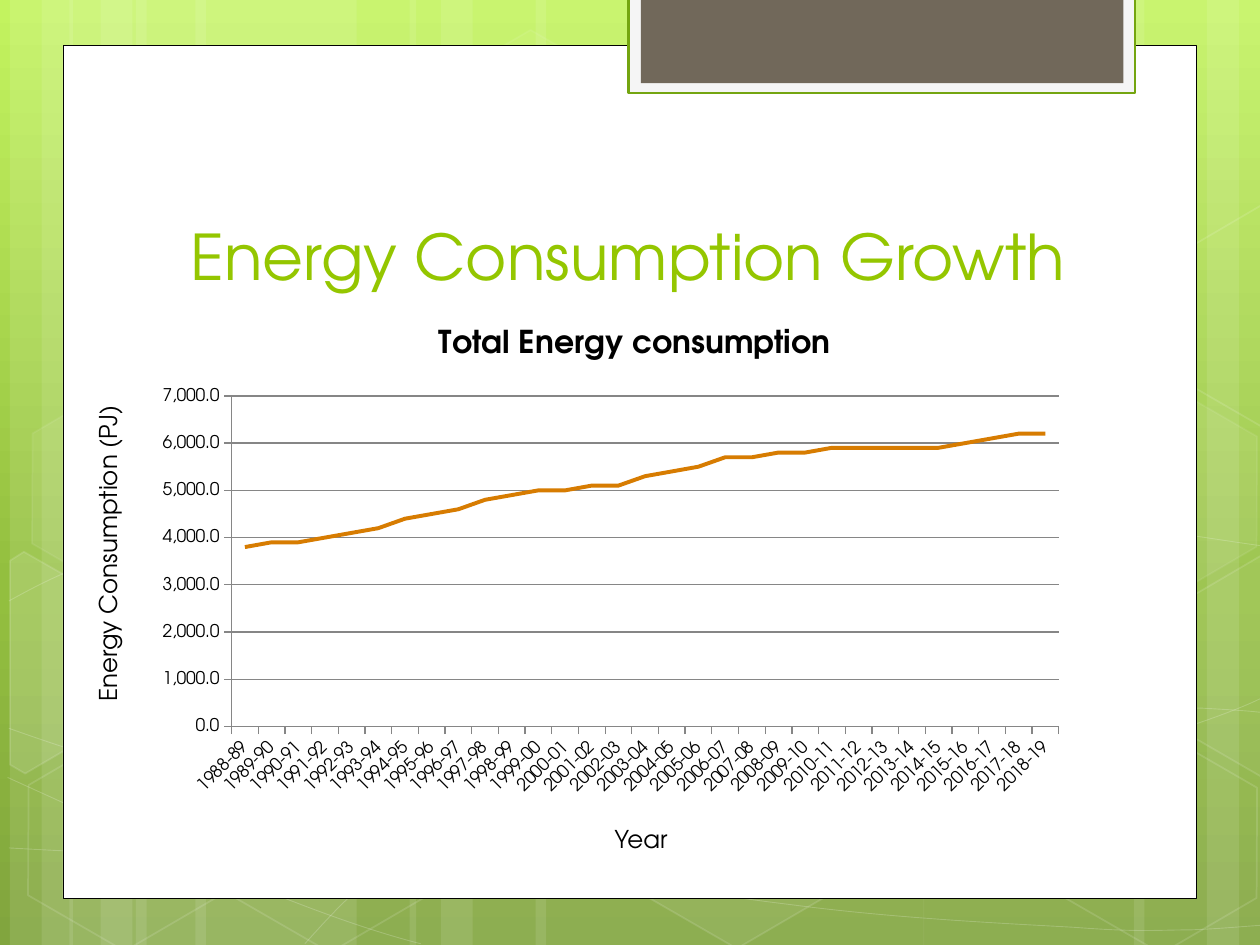
import copy
import pptx
import pptx.chart.data
import pptx.dml.color
import pptx.enum.chart
import pptx.enum.shapes
import pptx.enum.text
import pptx.oxml
import pptx.oxml.ns
import pptx.util

Cm, Pt, qn = pptx.util.Cm, pptx.util.Pt, pptx.oxml.ns.qn
RGB = pptx.dml.color.RGBColor.from_string
SHAPE = pptx.enum.shapes.MSO_SHAPE
FONT = "TeX Gyre Adventor"
COLORS = {
    "top": "C3F35F", "middle": "93BF3F", "bottom": "81A53E",
    "white": "FFFFFF", "black": "000000", "tab": "F5F5F5",
    "tab border": "74A510", "tab centre": "71685A",
    "title": "94C600", "series": "D77C01", "grid": "868686",
}


def paint(shape, fill=None, line=None, width=1, fill_alpha=100, line_alpha=100):
    """Set fill and outline by colour name, with opacity in percent."""
    shape.shadow.inherit = False
    for target, color, alpha in ((shape.fill, fill, fill_alpha),
                                 (shape.line.fill, line, line_alpha)):
        if not color:
            target.background()
            continue
        target.solid()
        target.fore_color.rgb = RGB(COLORS[color])
        if alpha < 100:
            parent = shape.element.spPr if target is shape.fill else shape.line._ln
            element = parent.find(qn("a:solidFill"))[0]
            element.append(pptx.oxml.parse_xml(
                '<a:alpha xmlns:a="http://schemas.openxmlformats.org/drawingml/2006/main"'
                f' val="{alpha * 1000}"/>'))
    if line:
        shape.line.width = Pt(width)


def style(font, size, color="black", bold=False):
    font.name, font.size, font.bold = FONT, Pt(size), bold
    font.color.rgb = RGB(COLORS[color])


presentation = pptx.Presentation()
presentation.slide_width, presentation.slide_height = Cm(25.4), Cm(19.05)
slide = presentation.slides.add_slide(presentation.slide_layouts[5])
shapes = slide.shapes

# Background gradient, running downwards
background = slide.background.fill
background.gradient()
background.gradient_angle = 270
stop_list = slide.element.find(".//" + qn("a:gsLst"))
stop_list.append(copy.deepcopy(stop_list[-1]))
for stop, position, color in zip(background.gradient_stops, (0, 0.62, 1),
                                 ("top", "middle", "bottom")):
    stop.position = position
    stop.color.rgb = RGB(COLORS[color])

# Vertical light bars: left, width
for left, width in ((2.74, 4.45), (0.2, 1.27), (0.84, 2.12), (3.94, 4.45),
                    (1.4, 1.27), (2.03, 2.12), (18.62, 4.45), (24.33, 1.27),
                    (22.86, 2.12), (10.8, 7.83), (8.26, 1.27), (8.89, 2.12)):
    bar = shapes.add_shape(SHAPE.RECTANGLE, Cm(left), 0, Cm(width), Cm(19.05))
    paint(bar, "white", fill_alpha=10)

# Sweeping curves: chained cubic Beziers in units of 2.54 cm
curves = (
    ((0.07, 6.73), (0.61, 6.76), (1.15, 6.79), (1.9, 6.78), (2.65, 6.77),
     (3.58, 6.75), (4.58, 6.65), (5.58, 6.55), (7, 6.36), (7.92, 6.17),
     (8.83, 5.98), (9.77, 5.68), (10.07, 5.51)),
    ((0.07, 4.77), (0.36, 4.61), (0.65, 4.46), (1.21, 4.31), (1.78, 4.16),
     (2.59, 3.94), (3.47, 3.87), (4.36, 3.8), (5.44, 3.79), (6.54, 3.87),
     (7.64, 3.95), (9.47, 4.26), (10.07, 4.34)),
    ((0.06, 6.17), (1.27, 6.72), (2.47, 7.27), (3.34, 7.49)),
    ((0.07, 5.78), (0.38, 5.89), (0.7, 6), (1.28, 6.16), (1.86, 6.31),
     (2.73, 6.56), (3.57, 6.73), (4.4, 6.9), (5.45, 7.08), (6.28, 7.18),
     (7.11, 7.29), (8, 7.33), (8.53, 7.36), (9.05, 7.4), (9.19, 7.38),
     (9.45, 7.38), (9.71, 7.37), (9.89, 7.35), (10.07, 7.34)),
    ((2.42, 7.49), (2.6, 7.29), (2.78, 7.09), (3.02, 6.91), (3.26, 6.73),
     (3.6, 6.53), (3.88, 6.39), (4.16, 6.25), (4.33, 6.19), (4.7, 6.09),
     (5.06, 5.99), (5.73, 5.85), (6.08, 5.78), (6.44, 5.71), (6.49, 5.71),
     (6.8, 5.69), (7.11, 5.66), (7.6, 5.63), (7.94, 5.62), (8.29, 5.61),
     (8.86, 5.62), (8.86, 5.62), (9.08, 5.62), (9.31, 5.62), (9.53, 5.62),
     (9.71, 5.63), (9.88, 5.64), (9.97, 5.65), (10.06, 5.66), (10.03, 5.65),
     (10.06, 5.66)),
)
for curve in curves:
    points = [(Cm(2.54 * x), Cm(2.54 * y)) for x, y in curve]
    builder = shapes.build_freeform(*points[0])
    builder.add_line_segments(points[1:], close=False)
    sweep = builder.convert_to_shape()
    # Each three line segments become one Bezier segment
    segments = list(sweep.element.iter(qn("a:lnTo")))
    for start in range(0, len(segments), 3):
        bezier = pptx.oxml.parse_xml(
            '<a:cubicBezTo xmlns:a="http://schemas.openxmlformats.org/drawingml/2006/main"/>')
        segments[start].addprevious(bezier)
        for segment in segments[start:start + 3]:
            bezier.append(segment[0])
            segment.getparent().remove(segment)
    paint(sweep, line="white", width=0.5, line_alpha=20)

# Hexagons: left, top, fill opacity, line opacity
for left, top, fill_alpha, line_alpha in (
        (8.48, 0.91, 4, 8), (12.62, 14.96, 6, 12), (0.28, 15.01, 0, 12),
        (0.36, 7.92, 7, 8), (4.42, 15.04, 0, 12), (21.18, 15.06, 0, 12),
        (21.18, 7.98, 7, 8)):
    hexagon = shapes.add_shape(SHAPE.HEXAGON, Cm(left), Cm(top), Cm(4.45), Cm(3.86))
    hexagon.adjustments[0] = 0.285
    hexagon.rotation = 30
    paint(hexagon, "white" if fill_alpha else None, "white", 1, fill_alpha, line_alpha)

# Hexagons cut off by the slide edges, in units of 2.54 cm
for fill_alpha, corners in (
        (10, ((0.08, 4.45), (0.19, 4.38), (0.96, 4.82), (0.95, 5.7), (0.2, 6.14), (0.08, 6.07))),
        (4, ((9.26, 4.85), (10.01, 4.41), (10.09, 4.46), (10.09, 6.13), (10.02, 6.17), (9.26, 5.73))),
        (0, ((9.26, 2.07), (10.01, 1.63), (10.1, 1.68), (10.09, 3.35), (10.02, 3.39), (9.26, 2.95)))):
    points = [(Cm(2.54 * x), Cm(2.54 * y)) for x, y in corners]
    builder = shapes.build_freeform(*points[0])
    builder.add_line_segments(points[1:], close=True)
    paint(builder.convert_to_shape(), "white" if fill_alpha else None, "white",
          1, fill_alpha, 12)

# White panel and the tab at its top
for box, fill, line, width in (
        ((1.27, 0.91, 22.86, 17.2), "white", "black", 0.5),
        ((12.67, -0.05, 10.21, 1.93), "tab", "tab border", 1.25),
        ((12.92, -0.05, 9.73, 1.73), "tab centre", None, 0)):
    panel = shapes.add_shape(SHAPE.RECTANGLE, *map(Cm, box))
    paint(panel, fill, line, width)

# Title, brought in front of the panel
title = shapes.title
shapes.element.append(title.element)
title.left, title.top, title.width, title.height = map(Cm, (2.9, 2.86, 19.51, 3.18))
title.text_frame.text = "Energy Consumption Growth"
title.text_frame.vertical_anchor = pptx.enum.text.MSO_ANCHOR.BOTTOM
paragraph = title.text_frame.paragraphs[0]
paragraph.alignment = pptx.enum.text.PP_ALIGN.CENTER
style(paragraph.runs[0].font, 36, "title")

# Line chart
chart_data = pptx.chart.data.CategoryChartData(number_format="#,##0.0")
chart_data.categories = [f"{year}-{(year + 1) % 100:02d}" for year in range(1988, 2019)]
chart_data.add_series("Series 1", (
    3800, 3900, 3900, 4000, 4100, 4200, 4400, 4500, 4600, 4800, 4900,
    5000, 5000, 5100, 5100, 5300, 5400, 5500, 5700, 5700, 5800, 5800,
    5900, 5900, 5900, 5900, 5900, 6000, 6100, 6200, 6200))
chart = shapes.add_chart(pptx.enum.chart.XL_CHART_TYPE.LINE,
                         *map(Cm, (2.9, 6.45, 18.82, 9.75)), chart_data).chart
style(chart.font, 10)
chart.has_legend = False
chart.has_title = True
chart.chart_title.text_frame.text = "Total Energy consumption"
style(chart.chart_title.text_frame.paragraphs[0].runs[0].font, 18, bold=True)
chart.plots[0].vary_by_categories = False
series = chart.plots[0].series[0]
series.smooth = False
series.format.line.width = Pt(2.25)
series.format.line.color.rgb = RGB(COLORS["series"])

# Axes
value_axis, category_axis = chart.value_axis, chart.category_axis
value_axis.minimum_scale, value_axis.maximum_scale, value_axis.major_unit = 0, 7000, 1000
value_axis.has_major_gridlines = True
value_axis.tick_labels.number_format = "#,##0.0"
value_axis.tick_labels.number_format_is_linked = False
for axis in (value_axis, category_axis):
    axis.major_tick_mark = pptx.enum.chart.XL_TICK_MARK.OUTSIDE
    style(axis.tick_labels.font, 10)
for part in (value_axis, category_axis, value_axis.major_gridlines):
    part.format.line.color.rgb = RGB(COLORS["grid"])
    part.format.line.width = Pt(0.75)
category_axis._element.find(qn("c:txPr")).find(qn("a:bodyPr")).set("rot", "-2700000")

# Places of the plot area and the chart title
for parent, index, target, places in (
        (chart._chartSpace.chart.plotArea, 0, '<c:layoutTarget val="inner"/>',
         {"x": 0.094, "y": 0.157, "w": 0.886, "h": 0.684}),
        (chart.chart_title._element, 1, "", {"x": 0.31, "y": 0})):
    for old_layout in parent.findall(qn("c:layout")):
        parent.remove(old_layout)
    values = "".join(f'<c:{name} val="{value}"/>' for name, value in places.items())
    parent.insert(index, pptx.oxml.parse_xml(
        '<c:layout xmlns:c="http://schemas.openxmlformats.org/drawingml/2006/chart">'
        f'<c:manualLayout>{target}<c:xMode val="edge"/><c:yMode val="edge"/>{values}'
        '</c:manualLayout></c:layout>'))

# Axis captions
for text, box, vertical in (("Year", (12.14, 16.48, 1.63, 0.86), False),
                            ("Energy Consumption (PJ)", (1.75, 7.62, 1.12, 6.78), True)):
    caption = shapes.add_textbox(*map(Cm, box))
    caption.text_frame.text = text
    caption.text_frame.word_wrap = False
    style(caption.text_frame.paragraphs[0].runs[0].font, 14)
    if vertical:
        caption.text_frame._txBody.find(qn("a:bodyPr")).set("vert", "vert270")

presentation.save("out.pptx")
